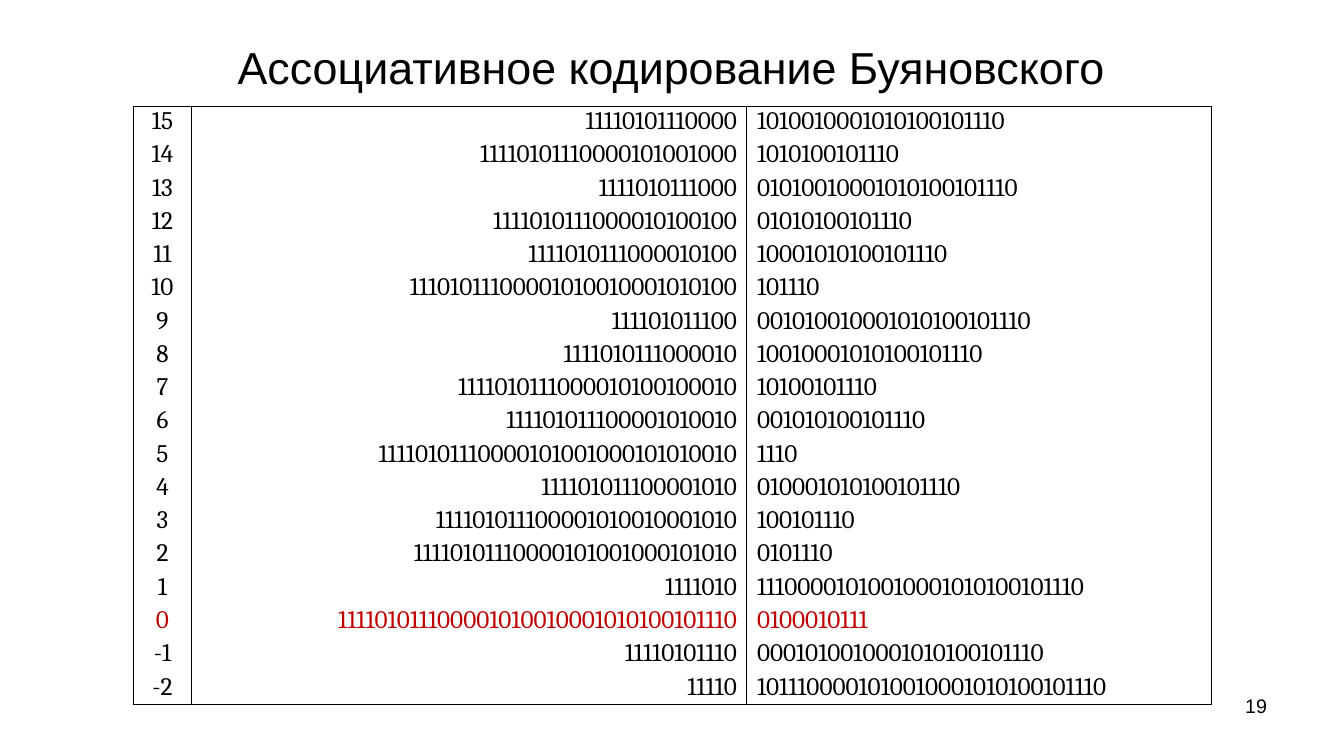
import pptx
import pptx.util
import pptx.dml.color
import pptx.enum.text
import pptx.oxml
import pptx.oxml.ns
from lxml import etree

TITLE = "Ассоциативное кодирование Буяновского"
PAGE_NUMBER = "19"
CODES = [
    ("15", "11110101110000", "1010010001010100101110"),
    ("14", "11110101110000101001000", "1010100101110"),
    ("13", "1111010111000", "01010010001010100101110"),
    ("12", "1111010111000010100100", "01010100101110"),
    ("11", "1111010111000010100", "10001010100101110"),
    ("10", "11101011100001010010001010100", "101110"),
    ("9", "111101011100", "001010010001010100101110"),
    ("8", "1111010111000010", "10010001010100101110"),
    ("7", "1111010111000010100100010", "10100101110"),
    ("6", "111101011100001010010", "001010100101110"),
    ("5", "11110101110000101001000101010010", "1110"),
    ("4", "111101011100001010", "010001010100101110"),
    ("3", "111101011100001010010001010", "100101110"),
    ("2", "11110101110000101001000101010", "0101110"),
    ("1", "1111010", "11100001010010001010100101110"),
    ("0", "111101011100001010010001010100101110", "0100010111"),
    ("-1", "11110101110", "0001010010001010100101110"),
    ("-2", "11110", "1011100001010010001010100101110"),
]
CURRENT_INDEX = "0"
COLORS = {"ink": "000000", "current": "C00000"}
ALIGN = pptx.enum.text.PP_ALIGN
ANCHOR = pptx.enum.text.MSO_ANCHOR
COLUMNS = [(59, ALIGN.CENTER), (555, ALIGN.RIGHT), (465, ALIGN.LEFT)]
ROW_HEIGHT = 33
PX = 914400 / 100.8


def px(length):
    return pptx.util.Emu(round(length * PX))


def style(paragraph, align, size, font, color):
    paragraph.alignment = align
    for run in paragraph.runs:
        run.font.size = pptx.util.Pt(size)
        run.font.name = font
        run.font.color.rgb = pptx.dml.color.RGBColor.from_string(COLORS[color])


def add_label(slide, text, box, align, size, anchor):
    frame = slide.shapes.add_textbox(*map(px, box)).text_frame
    frame.word_wrap = True
    frame.vertical_anchor = anchor
    frame.text = text
    style(frame.paragraphs[0], align, size, "Arial", "ink")


def set_borders(cell, visible):
    properties = cell._tc.get_or_add_tcPr()
    qn = pptx.oxml.ns.qn
    for position, side in enumerate(("lnL", "lnR", "lnT", "lnB")):
        weight = 0.75 if side in visible else 1
        line = etree.Element(qn("a:" + side), w=str(pptx.util.Pt(weight)))
        if side in visible:
            fill = etree.SubElement(line, qn("a:solidFill"))
            etree.SubElement(fill, qn("a:srgbClr"), val=COLORS["ink"])
        else:
            etree.SubElement(line, qn("a:noFill"))
        properties.insert(position, line)


def add_code_table(slide):
    width = sum(column_width for column_width, align in COLUMNS)
    table = slide.shapes.add_table(
        len(CODES), len(COLUMNS), px(133), px(106), px(width), px(ROW_HEIGHT * len(CODES))
    ).table
    table.first_row = False
    table.horz_banding = False
    for column, (column_width, align) in zip(table.columns, COLUMNS):
        column.width = px(column_width)
    for row_number, code in enumerate(CODES):
        table.rows[row_number].height = px(ROW_HEIGHT)
        color = "current" if code[0] == CURRENT_INDEX else "ink"
        visible = {"lnL", "lnR"}
        if row_number == 0:
            visible.add("lnT")
        if row_number == len(CODES) - 1:
            visible.add("lnB")
        for column_number, (bits, (column_width, align)) in enumerate(zip(code, COLUMNS)):
            cell = table.cell(row_number, column_number)
            cell.text = bits
            cell.margin_bottom = px(4)
            cell.fill.background()
            paragraph = cell.text_frame.paragraphs[0]
            paragraph.line_spacing = 0.8
            style(paragraph, align, 18, "Cambria", color)
            set_borders(cell, visible)


def main():
    presentation = pptx.Presentation()
    presentation.slide_width = px(1344)
    presentation.slide_height = px(756)
    slide = presentation.slides.add_slide(presentation.slide_layouts[6])
    add_label(slide, TITLE, (218, 15, 907, 103), ALIGN.CENTER, 32, ANCHOR.MIDDLE)
    add_code_table(slide)
    add_label(slide, PAGE_NUMBER, (964, 689, 313, 52), ALIGN.RIGHT, 14, ANCHOR.TOP)
    presentation.save("out.pptx")


if __name__ == "__main__":
    main()
